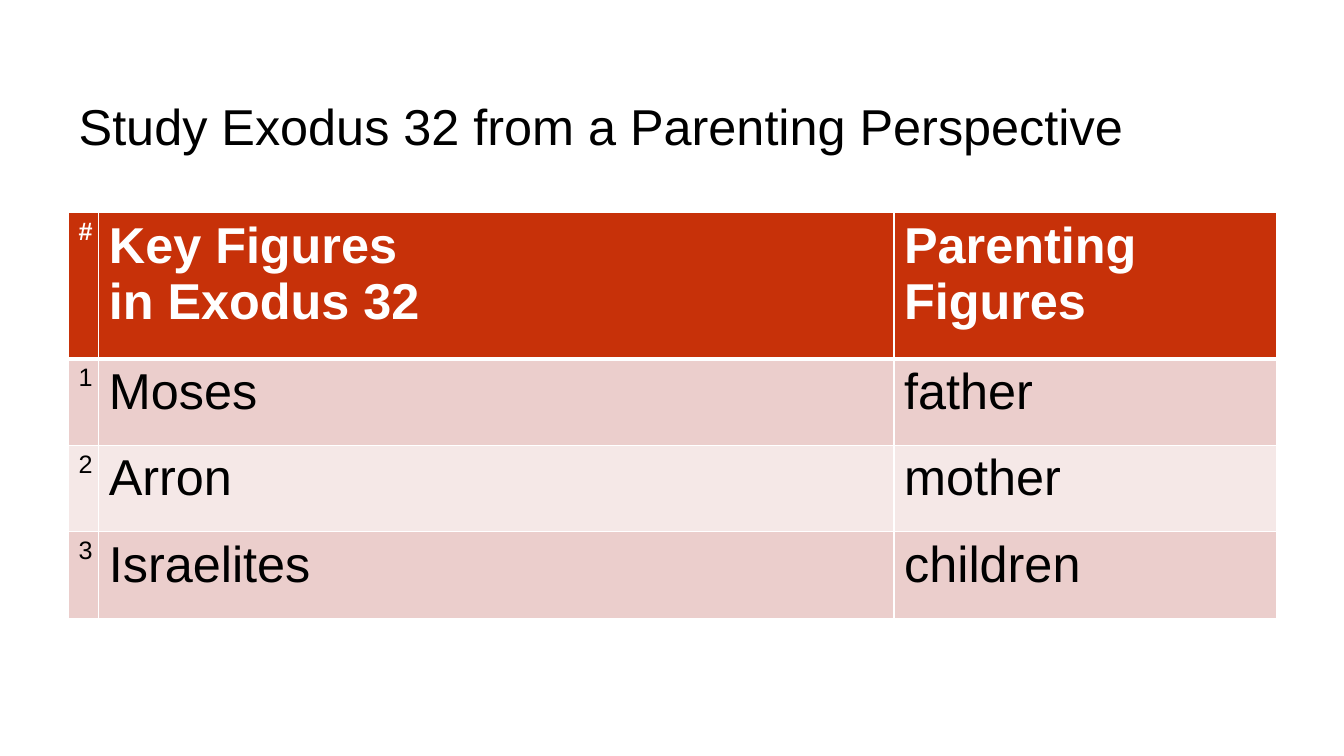
from dataclasses import dataclass

from lxml.etree import SubElement
from pptx import Presentation
from pptx.dml.color import RGBColor
from pptx.enum.text import MSO_ANCHOR, MSO_AUTO_SIZE, PP_ALIGN
from pptx.oxml.ns import qn
from pptx.util import Cm, Pt


@dataclass(frozen=True)
class Theme:
    font: str = "Arial"
    text: str = "000000"
    white: str = "FFFFFF"
    header: str = "C73109"
    bands: tuple = ("EBCECC", "F5E8E7")
    large: int = 36
    small: int = 18
    rule: int = 1
    header_rule: int = 3


THEME = Theme()
LEFT, WIDTH = Cm(1.73), Cm(30.48)
COLUMN_WIDTHS = (0.76, 20.04, 9.65)
HEADER_HEIGHT, ROW_HEIGHT = 3.68, 2.18
ROWS = (
    ("#", "Key Figures\nin Exodus 32", "Parenting Figures"),
    ("1", "Moses", "father"),
    ("2", "Arron", "mother"),
    ("3", "Israelites", "children"),
)


def style_text(tf, size, color, bold=False):
    for p in tf.paragraphs:
        p.alignment = PP_ALIGN.LEFT
        p.font.name = THEME.font
        p.font.size = Pt(size)
        p.font.bold = bold
        p.font.color.rgb = RGBColor.from_string(color)


def set_borders(cell, **widths):
    """Draw white borders; widths are points by side: L, R, T, B."""
    tc_pr = cell._tc.get_or_add_tcPr()
    for side, width in widths.items():
        ln = SubElement(tc_pr, qn(f"a:ln{side}"), w=str(Pt(width)))
        fill = SubElement(ln, qn("a:solidFill"))
        SubElement(fill, qn("a:srgbClr"), val=THEME.white)


def add_title(s, text):
    title = s.shapes.title
    title.left, title.top, title.width, title.height = LEFT, Cm(2.34), WIDTH, Cm(1.63)
    tf = title.text_frame
    tf.text = text
    tf.word_wrap = True
    tf.auto_size = MSO_AUTO_SIZE.NONE
    tf.vertical_anchor = MSO_ANCHOR.MIDDLE
    style_text(tf, THEME.large, THEME.text)


def fill_cell(cell, text, row, col):
    is_header = row == 0
    cell.text = text
    style_text(
        cell.text_frame,
        THEME.small if col == 0 else THEME.large,
        THEME.white if is_header else THEME.text,
        is_header,
    )
    set_borders(
        cell,
        L=THEME.rule,
        R=THEME.rule,
        T=THEME.header_rule if row == 1 else THEME.rule,
        B=THEME.header_rule if is_header else THEME.rule,
    )
    cell.fill.solid()
    color = THEME.header if is_header else THEME.bands[(row - 1) % 2]
    cell.fill.fore_color.rgb = RGBColor.from_string(color)


def add_figures_table(s):
    heights = [HEADER_HEIGHT] + [ROW_HEIGHT] * (len(ROWS) - 1)
    table = s.shapes.add_table(
        len(ROWS), len(COLUMN_WIDTHS), LEFT, Cm(5.36), WIDTH, Cm(sum(heights))
    ).table
    for column, width in zip(table.columns, COLUMN_WIDTHS):
        column.width = Cm(width)
    for row, height in zip(table.rows, heights):
        row.height = Cm(height)
    for r, texts in enumerate(ROWS):
        for c, text in enumerate(texts):
            fill_cell(table.cell(r, c), text, r, c)


def main():
    prs = Presentation()
    prs.slide_width, prs.slide_height = Cm(33.87), Cm(19.05)
    s = prs.slides.add_slide(prs.slide_layouts[5])
    add_title(s, "Study Exodus 32 from a Parenting Perspective")
    add_figures_table(s)
    prs.save("out.pptx")


if __name__ == "__main__":
    main()
